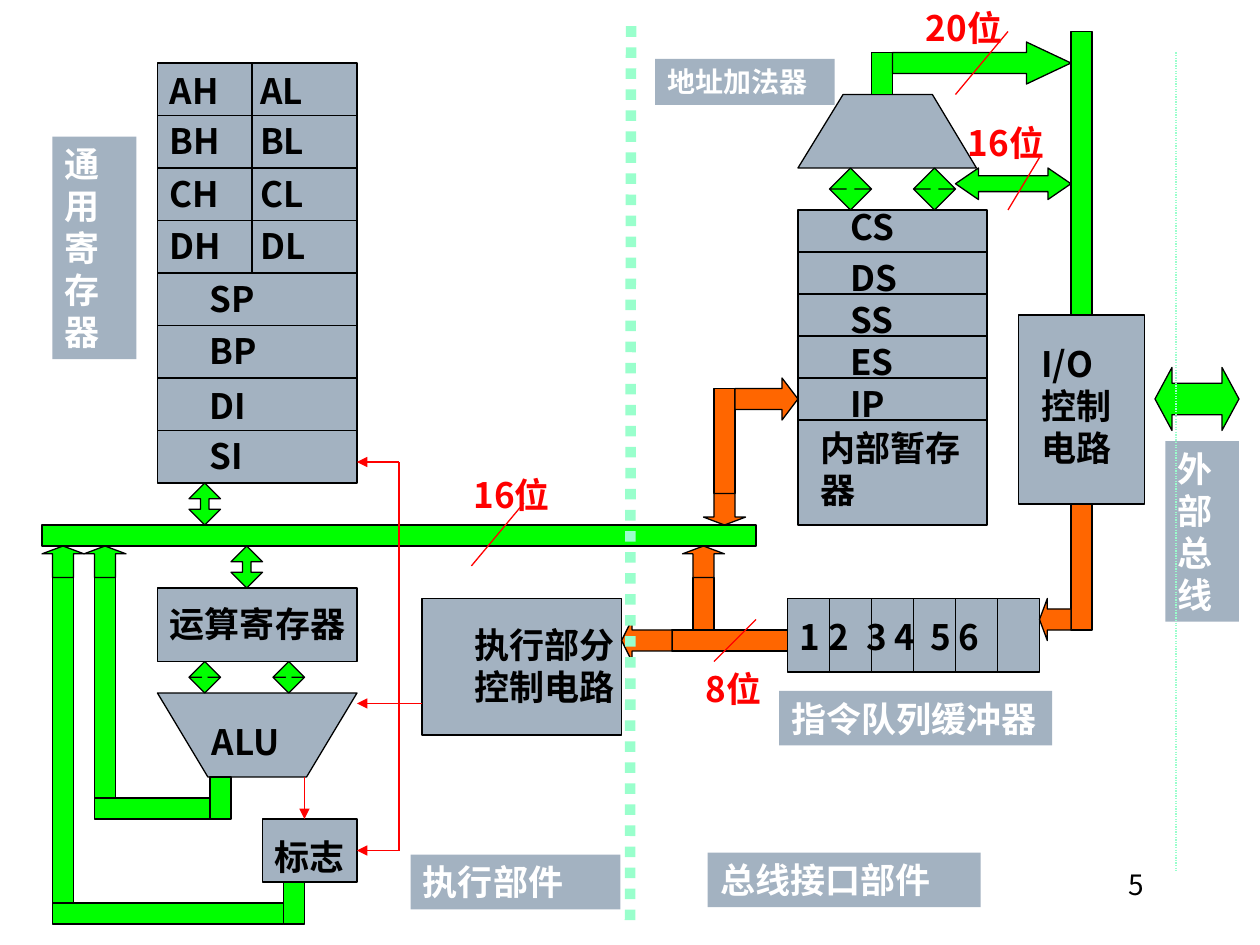
"""Build a block diagram of a processor with an execution unit and a bus interface unit."""
from lxml import etree
from pptx import Presentation
from pptx.dml.color import RGBColor
from pptx.enum.dml import MSO_LINE
from pptx.enum.shapes import MSO_CONNECTOR, MSO_SHAPE
from pptx.enum.text import MSO_ANCHOR, MSO_AUTO_SIZE, PP_ALIGN
from pptx.oxml.ns import qn
from pptx.util import Pt

PX = 7620
FONT = "Noto Sans CJK KR"
GREY, GREEN, ORANGE, RED = "A3B2C1", "00FF00", "FF6600", "FF0000"
BLACK, WHITE, MINT = "000000", "FFFFFF", "99FFCC"
RECT = MSO_SHAPE.RECTANGLE
UP, DOWN = MSO_SHAPE.UP_ARROW, MSO_SHAPE.DOWN_ARROW
LEFT, RIGHT = MSO_SHAPE.LEFT_ARROW, MSO_SHAPE.RIGHT_ARROW
UP_DOWN, LEFT_RIGHT = MSO_SHAPE.UP_DOWN_ARROW, MSO_SHAPE.LEFT_RIGHT_ARROW
STRAIGHT, DOTTED = MSO_CONNECTOR.STRAIGHT, MSO_LINE.ROUND_DOT

PANELS = [
    (150, 60, 190, 400), (150, 560, 190, 70), (250, 780, 90, 60), (402, 570, 190, 130),
    (750, 570, 240, 70), (760, 200, 180, 300), (970, 300, 120, 180),
]
TRAPEZOIDS = [
    [(150, 660), (198, 740), (292, 740), (340, 660)],
    [(930, 160), (888, 90), (803, 90), (760, 160)],
]
REGISTERS = [
    ("AH\tAL", 60), ("BH\tBL", 108), ("CH\tCL", 158), ("DH\tDL", 208),
    ("SP", 258), ("BP", 308), ("DI", 360), ("SI", 408),
]
SEGMENTS = [("CS", 190), ("DS", 238), ("SS", 278), ("ES", 318), ("IP", 358)]
BARS = [
    (GREEN, [(40, 500, 680, 20), (200, 740, 20, 40), (90, 760, 110, 20), (90, 550, 20, 210),
             (270, 840, 20, 40), (50, 860, 220, 20), (50, 550, 20, 310),
             (1020, 30, 20, 270), (830, 50, 20, 40)]),
    (ORANGE, [(640, 600, 110, 20), (660, 550, 20, 50), (680, 370, 20, 100),
              (1020, 480, 20, 120)]),
]
ARROWS = [
    (UP_DOWN, GREEN, 0.27, [(180, 460, 30, 40), (220, 520, 30, 40)]),
    (UP_DOWN, GREEN, 0.2, [(180, 630, 30, 30), (260, 630, 30, 30),
                           (790, 160, 40, 40), (870, 160, 40, 40)]),
    (UP, GREEN, 0.25, [(80, 520, 40, 30), (40, 520, 40, 30)]),
    (LEFT_RIGHT, GREEN, 0.27, [(1100, 350, 80, 60)]),
    (LEFT_RIGHT, GREEN, 0.73, [(910, 160, 110, 30)]),
    (RIGHT, GREEN, 1.06, [(850, 40, 170, 40)]),
    (LEFT, ORANGE, 0.25, [(592, 590, 48, 40), (990, 570, 30, 40)]),
    (UP, ORANGE, 0.25, [(650, 520, 40, 30)]),
    (RIGHT, ORANGE, 0.38, [(700, 360, 60, 40)]),
    (DOWN, ORANGE, 0.25, [(670, 470, 40, 30)]),
]
WIRES = [(380, 670, 380, 810), (380, 670, 380, 440)]
WIRE_ARROWS = [(290, 740, 290, 780), (402, 670, 340, 670),
               (380, 810, 340, 810), (380, 440, 340, 440)]
SLASHES = [(960, 30, 910, 90), (990, 150, 960, 200), (720, 590, 680, 630), (499, 479, 449, 539)]
DIVIDERS = [((601, 25, 600, 882), 6), ((1120, 50, 1120, 830), 0.75)]
CAPTIONS = [
    ("运算寄存器", (150, 568, 210, 52)), ("ALU", (190, 680, 100, 52)),
    ("标志", (250, 790, 100, 52)), ("执行部分控制电路", (440, 588, 180, 92)),
    ("内部暂存器", (770, 400, 180, 92)), ("I/O控制电路", (980, 320, 100, 132)),
]
WIDTHS = [
    ("20位", (870, 0, 100, 52)), ("16位", (910, 110, 100, 52)),
    ("8位", (660, 630, 90, 52)), ("16位", (439, 445, 100, 52)),
]
UNIT_LABELS = [
    ("通用寄存器", (50, 130, 80, 212), 20), ("地址加法器", (624, 56, 171, 44), 16),
    ("指令队列缓冲器", (742, 658, 260, 52), 20), ("外部总线", (1110, 420, 70, 172), 20),
    ("执行部件", (391, 814, 200, 52), 20), ("总线接口部件", (674, 812, 260, 52), 20),
]

prs = Presentation()
prs.slide_width, prs.slide_height = 1200 * PX, 900 * PX
s = prs.slides.add_slide(prs.slide_layouts[6])
anchors = {}


def emu(values):
    return [v * PX for v in values]


def color(hex_code):
    return RGBColor.from_string(hex_code)


def paint(sp, fill):
    sp.shadow.inherit = False
    sp.fill.solid()
    sp.fill.fore_color.rgb = color(fill)
    sp.line.color.rgb = color(BLACK)
    sp.line.width = Pt(0.75)


def block(kind, box, fill, head=None):
    sp = s.shapes.add_shape(kind, *emu(box))
    paint(sp, fill)
    if head is not None:
        sp.adjustments[0], sp.adjustments[1] = 0.5, head
    return sp


def panel(box):
    sp = block(RECT, box, GREY)
    x, y, w, h = box
    sides = [(x + w / 2, y), (x, y + h / 2), (x + w / 2, y + h), (x + w, y + h / 2)]
    for site, point in enumerate(sides):
        anchors[point] = (sp, site)


def line(ends, hex_code=BLACK, width=0.75, arrow=False, dash=None):
    c = s.shapes.add_connector(STRAIGHT, *emu(ends))
    c.line.color.rgb = color(hex_code)
    c.line.width = Pt(width)
    if dash:
        c.line.dash_style = dash
    if arrow:
        etree.SubElement(c.get_or_add_ln(), qn("a:tailEnd"), type="triangle")
    etree.SubElement(c._element.spPr, qn("a:effectLst"))
    for point, connect in ((ends[:2], c.begin_connect), (ends[2:], c.end_connect)):
        if point in anchors:
            connect(*anchors[point])


def text(words, box, hex_code=BLACK, size=20, fill=None, bold=True, indent=0, tabs=()):
    sp = s.shapes.add_textbox(*emu(box))
    if fill:
        sp.fill.solid()
        sp.fill.fore_color.rgb = color(fill)
    tf = sp.text_frame
    tf.word_wrap = True
    tf.auto_size = MSO_AUTO_SIZE.SHAPE_TO_FIT_TEXT
    tf.vertical_anchor = MSO_ANCHOR.TOP
    p = tf.paragraphs[0]
    p.alignment = PP_ALIGN.LEFT
    pPr = p._p.get_or_add_pPr()
    if indent:
        pPr.set("marL", str(indent * PX))
    if tabs:
        tab_list = etree.SubElement(pPr, qn("a:tabLst"))
        for stop in tabs:
            etree.SubElement(tab_list, qn("a:tab"), pos=str(stop * PX), algn="l")
    r = p.add_run()
    r.text = words
    r.font.size, r.font.bold, r.font.name = Pt(size), bold, FONT
    r.font.color.rgb = color(hex_code)
    etree.SubElement(r._r.get_or_add_rPr(), qn("a:ea"), typeface=FONT)


for box in PANELS:
    panel(box)
for first, *rest in TRAPEZOIDS:
    builder = s.shapes.build_freeform(*first, scale=PX)
    builder.add_line_segments(rest, close=True)
    paint(builder.convert_to_shape(), GREY)

for y in range(110, 411, 50):
    line((150, y, 340, y))
line((240, 60, 240, 260))
for x in range(790, 951, 40):
    line((x, 570, x, 640))
for y in range(240, 401, 40):
    line((760, y, 940, y))

for fill, boxes in BARS:
    for box in boxes:
        block(RECT, box, fill)
for kind, fill, head, boxes in ARROWS:
    for box in boxes:
        block(kind, box, fill, head)
for ends in WIRES + SLASHES:
    line(ends, RED)
for ends in WIRE_ARROWS:
    line(ends, RED, arrow=True)

for words, top in REGISTERS:
    pair = "\t" in words
    text(words, (150, top, 190, 52), indent=0 if pair else 38, tabs=(86,) if pair else ())
for words, top in SEGMENTS:
    text(words, (760, top, 180, 52), indent=38)
for words, box in CAPTIONS:
    text(words, box)
text("1 2\t3 4\t5 6", (750, 580, 294, 52), tabs=(63, 124))
for words, box, size in UNIT_LABELS:
    text(words, box, WHITE, size, GREY)
for ends, width in DIVIDERS:
    line(ends, MINT, width, dash=DOTTED)
for words, box in WIDTHS:
    text(words, box, RED)
text("5", (1063, 820, 62, 62), size=16, bold=False)

prs.save("out.pptx")
